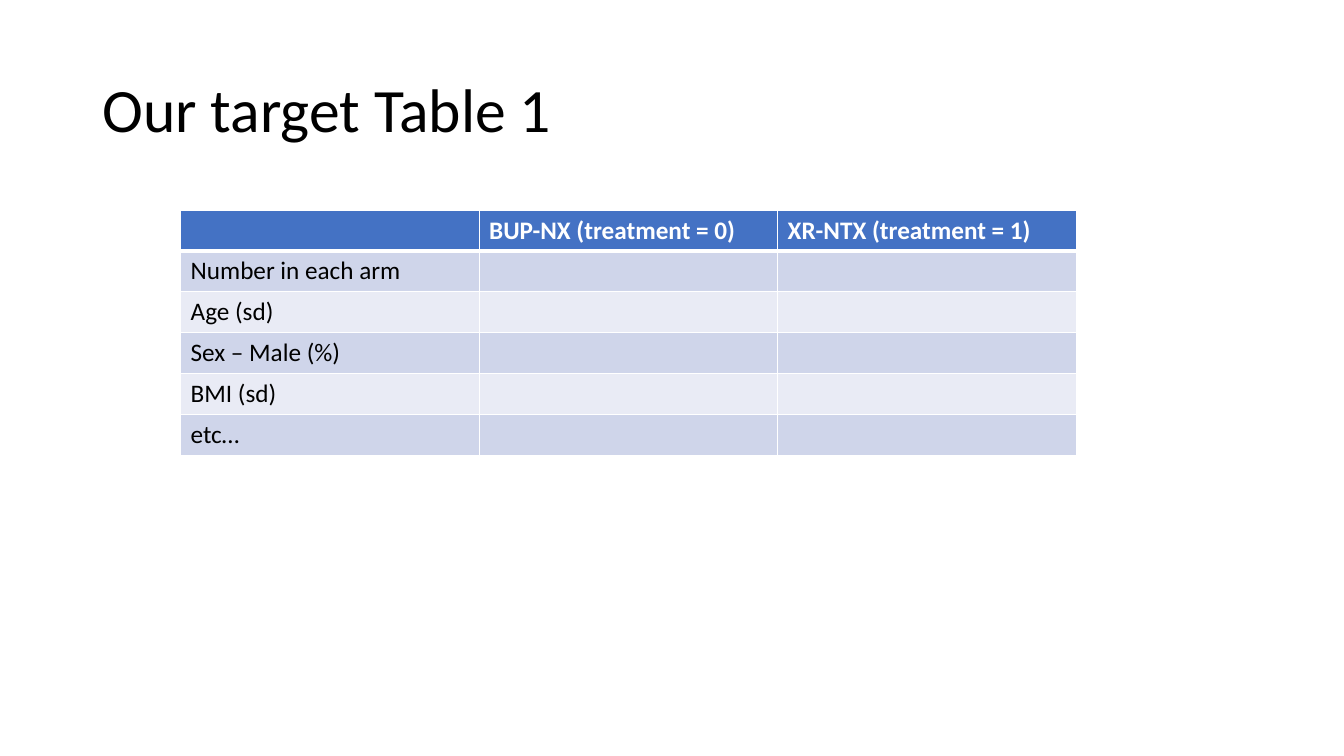
from dataclasses import dataclass

from lxml.etree import SubElement
from pptx import Presentation
from pptx.dml.color import RGBColor
from pptx.enum.text import MSO_ANCHOR
from pptx.oxml.ns import qn
from pptx.util import Pt

EMU_PER_PX = 9525
HEADINGS = ["", "BUP-NX (treatment = 0)", "XR-NTX (treatment = 1)"]
MEASURES = ["Number in each arm", "Age (sd)", "Sex – Male (%)", "BMI (sd)", "etc…"]


@dataclass(frozen=True)
class Theme:
    """Colours, font and type sizes of the slide."""
    font: str = "Calibri"
    title_size: int = 44
    table_size: int = 18
    ink: str = "000000"
    paper: str = "FFFFFF"
    header: str = "4472C4"
    bands: tuple = ("CFD5EA", "E9EBF5")
    rule: int = 1
    header_rule: int = 3


THEME = Theme()


def px(length):
    """Turn whole pixels into EMU."""
    return length * EMU_PER_PX


def style_para(para, size, color, bold=False):
    """Format the paragraph and its runs."""
    for font in [para.font] + [span.font for span in para.runs]:
        font.name = THEME.font
        font.size = Pt(size)
        font.bold = bold
        font.color.rgb = RGBColor.from_string(color)


def add_title(page, box, text):
    """Place the title, centred vertically in its box."""
    frame = page.shapes.add_textbox(*map(px, box)).text_frame
    frame.word_wrap = True
    frame.vertical_anchor = MSO_ANCHOR.MIDDLE
    frame.text = text
    para = frame.paragraphs[0]
    para.line_spacing = 0.9
    style_para(para, THEME.title_size, THEME.ink)


def add_borders(cell, widths):
    """Draw the cell's left, right, top and bottom borders."""
    properties = cell._tc.get_or_add_tcPr()
    for side, width in zip("LRTB", widths):
        line = SubElement(properties, qn(f"a:ln{side}"), w=str(Pt(width)))
        fill = SubElement(line, qn("a:solidFill"))
        SubElement(fill, qn("a:srgbClr"), val=THEME.paper)


def style_cell(cell, row):
    """Set the borders, fill and text style that belong to a row."""
    is_header = row == 0
    top = THEME.header_rule if row == 1 else THEME.rule
    bottom = THEME.header_rule if is_header else THEME.rule
    add_borders(cell, (THEME.rule, THEME.rule, top, bottom))
    fill = THEME.header if is_header else THEME.bands[(row - 1) % 2]
    cell.fill.solid()
    cell.fill.fore_color.rgb = RGBColor.from_string(fill)
    color = THEME.paper if is_header else THEME.ink
    style_para(cell.text_frame.paragraphs[0], THEME.table_size, color, is_header)


def add_target_table(page, box, headings, measures):
    """Place the table with equal columns and rows filling its box."""
    rows = [headings] + [[measure] + [""] * (len(headings) - 1) for measure in measures]
    table = page.shapes.add_table(len(rows), len(headings), *map(px, box)).table
    for row, texts in enumerate(rows):
        for column, text in enumerate(texts):
            cell = table.cell(row, column)
            cell.text = text
            style_cell(cell, row)


def main():
    """Build and save the deck."""
    deck = Presentation()
    deck.slide_width, deck.slide_height = px(1280), px(720)
    page = deck.slides.add_slide(deck.slide_layouts[6])
    add_title(page, (88, 38, 1104, 139), "Our target Table 1")
    add_target_table(page, (172, 200, 853, 234), HEADINGS, MEASURES)
    deck.save("out.pptx")


if __name__ == "__main__":
    main()
